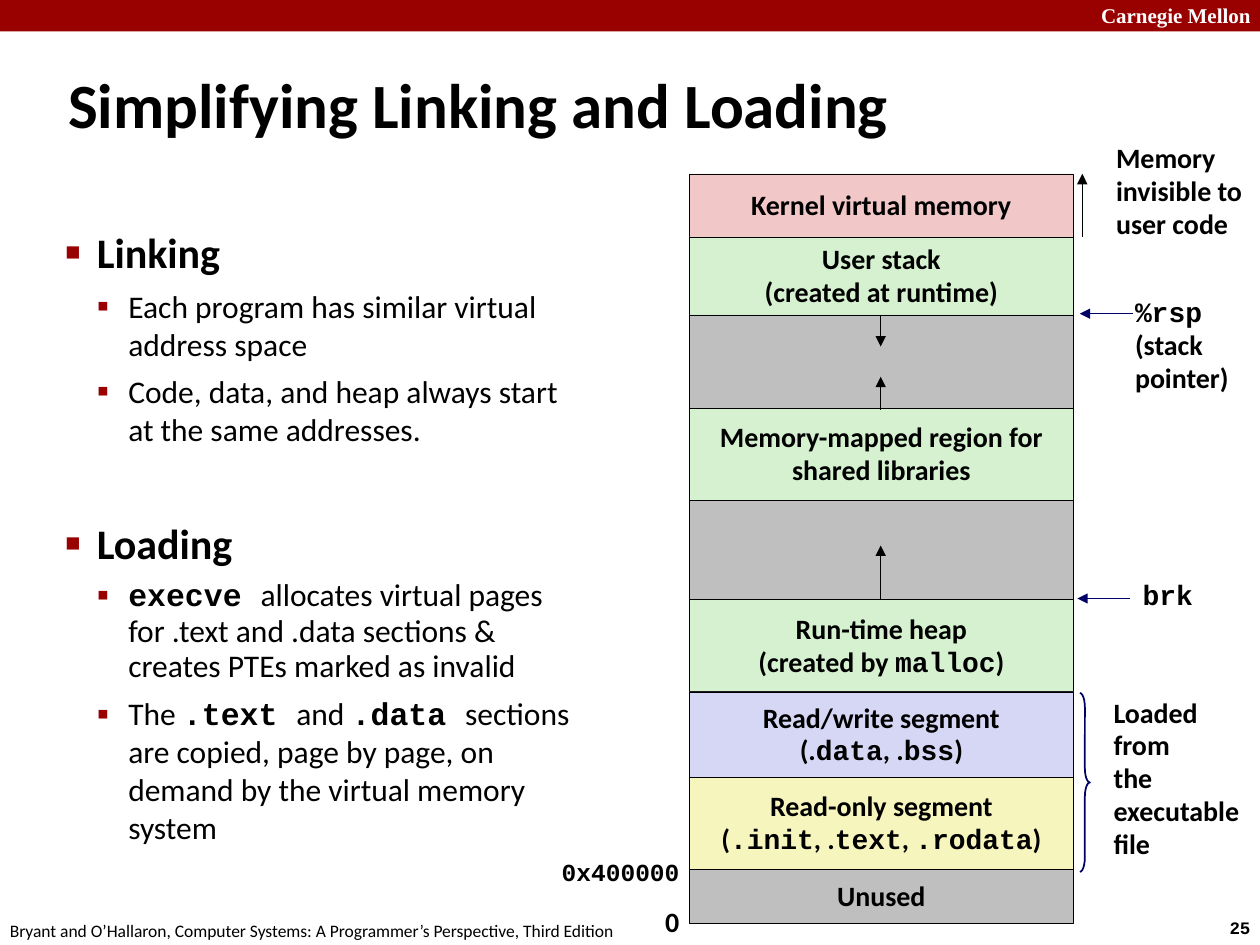
from lxml import etree
from pptx import Presentation
from pptx.dml.color import RGBColor
from pptx.enum.shapes import MSO_CONNECTOR, MSO_SHAPE
from pptx.enum.text import MSO_ANCHOR, PP_ALIGN
from pptx.oxml.ns import qn
from pptx.util import Inches, Pt

RECT, BRACE = MSO_SHAPE.RECTANGLE, MSO_SHAPE.RIGHT_BRACE
STRAIGHT = MSO_CONNECTOR.STRAIGHT
LEFT, CENTER = PP_ALIGN.LEFT, PP_ALIGN.CENTER
MIDDLE = MSO_ANCHOR.MIDDLE

BLACK = RGBColor(0x00, 0x00, 0x00)
WHITE = RGBColor(0xFF, 0xFF, 0xFF)
RED = RGBColor(0x99, 0x00, 0x00)
NAVY = RGBColor(0x00, 0x00, 0x66)
PINK = RGBColor(0xF1, 0xC7, 0xC7)
GREEN = RGBColor(0xD5, 0xF1, 0xCF)
GRAY = RGBColor(0xBF, 0xBF, 0xBF)
LILAC = RGBColor(0xD6, 0xD6, 0xF5)
YELLOW = RGBColor(0xF6, 0xF5, 0xBD)
SANS, MONO, SERIF = "Calibri", "Courier New", "Times New Roman"

# Backticks mark code, which is set in bold Courier New.
TITLE = "Simplifying Linking and Loading"
# (level, text, space before, line spacing)
BULLETS = [
    (0, "Linking", 0, 1),
    (1, "Each program has similar virtual address space", 5.6, 1),
    (1, "Code, data, and heap always start at the same addresses.", 5.6, 1),
    (0, "Loading", 40, 1),
    (1, "`execve `allocates virtual pages for .text and .data sections & "
        "creates PTEs marked as invalid", 5.6, 0.94),
    (1, "The `.text `and `.data `sections are copied, page by page, on demand "
        "by the virtual memory system", 5.6, 1),
]
# level: (bullet, bullet size in %, text size, bold)
LEVELS = [("■", 60, 24, True), ("▪", 110, 18, False)]

# Memory regions from high to low addresses: (top, fill, lines)
REGIONS = [
    (1.38, PINK, ["Kernel virtual memory"]),
    (1.88, GREEN, ["User stack", "(created at runtime)"]),
    (2.5, GRAY, []),
    (3.24, GREEN, ["Memory-mapped region for", "shared libraries"]),
    (3.97, GRAY, []),
    (4.76, GREEN, ["Run-time heap", "(created by `malloc`)"]),
    (5.49, LILAC, ["Read/write segment", "(.`data`, .`bss`)"]),
    (6.17, YELLOW, ["Read-only segment", "(`.init`, .`text`, `.rodata`)"]),
    (6.9, GRAY, ["Unused"]),
]
MAP_LEFT, MAP_WIDTH, MAP_BOTTOM = 5.47, 3.05, 7.33
MAP_MID = 6.99

# (box, lines, size)
LABELS = [
    ((8.76, 1.08, 1.26, 0.89), ["Memory", "invisible to", "user code"], 16),
    ((8.91, 2.31, 0.95, 0.88), ["`%rsp`", "(stack", "pointer)"], 16),
    ((8.97, 4.56, 0.6, 0.36), ["`brk`"], 16),
    ((8.74, 5.48, 1.26, 1.42),
     ["Loaded", "from", "the", "executable", "file"], 16),
    ((4.36, 6.77, 1.14, 0.33), ["`0x400000`"], 14),
    ((5.18, 7.14, 0.31, 0.37), ["0"], 16),
]
# (from, to, colour)
ARROWS = [
    ((MAP_MID, 2.5), (MAP_MID, 2.75), BLACK),
    ((MAP_MID, 3.25), (MAP_MID, 2.99), BLACK),
    ((MAP_MID, 4.75), (MAP_MID, 4.33), BLACK),
    ((8.59, 1.88), (8.59, 1.38), BLACK),
    ((8.99, 2.49), (8.57, 2.49), NAVY),
    ((8.97, 4.75), (8.55, 4.75), NAVY),
]
# (box, text, size, font, colour, bold)
FURNITURE = [
    ((8.64, -0.03, 1.43, 0.3), "Carnegie Mellon", 12, SERIF, WHITE, True),
    ((9.66, 7.23, 0.45, 0.27), "25", 10, MONO, BLACK, True),
    ((-0.02, 7.25, 5.08, 0.27), "Bryant and O’Hallaron, Computer Systems: "
     "A Programmer’s Perspective, Third Edition", 10, SANS, BLACK, False),
]


def inches(box):
    return [Inches(v) for v in box]


def add_runs(p, text, size, font=SANS, color=BLACK, bold=True):
    for i, part in enumerate(text.split("`")):
        if not part:
            continue
        code = i % 2 == 1
        r = p.add_run()
        r.text = part
        r.font.name = MONO if code else font
        r.font.size = Pt(size)
        r.font.bold = bold or code
        r.font.color.rgb = color


def add_lines(tf, lines, size, align=LEFT):
    for i, line in enumerate(lines):
        p = tf.paragraphs[0] if i == 0 else tf.add_paragraph()
        p.alignment = align
        p.line_spacing = 0.94 if line.startswith("`") else 0.98
        add_runs(p, line, size)


def add_text_box(s, box, wrap=False):
    tf = s.shapes.add_textbox(*inches(box)).text_frame
    tf.word_wrap = wrap
    return tf


def add_shape(s, kind, box, fill=None, line=None, width=0.25):
    sp = s.shapes.add_shape(kind, *inches(box))
    sp.shadow.inherit = False
    if fill is None:
        sp.fill.background()
    else:
        sp.fill.solid()
        sp.fill.fore_color.rgb = fill
    if line is None:
        sp.line.fill.background()
    else:
        sp.line.color.rgb = line
        sp.line.width = Pt(width)
    return sp


def add_arrow(s, start, end, color):
    c = s.shapes.add_connector(STRAIGHT, *inches(start + end))
    c.line.color.rgb = color
    c.line.width = Pt(0.25)
    etree.SubElement(c.line._get_or_add_ln(), qn("a:tailEnd"), type="triangle")
    etree.SubElement(c._element.spPr, qn("a:effectLst"))


def set_bullet(p, level, char, percent):
    pPr = p._p.get_or_add_pPr()
    pPr.set("marL", str(Inches(0.25 * (level + 1))))
    pPr.set("indent", str(-Inches(0.25)))
    color = etree.SubElement(pPr, qn("a:buClr"))
    etree.SubElement(color, qn("a:srgbClr"), val=str(RED))
    etree.SubElement(pPr, qn("a:buSzPct"), val=str(percent * 1000))
    etree.SubElement(pPr, qn("a:buFont"), typeface=SERIF)
    etree.SubElement(pPr, qn("a:buChar"), char=char)


def add_bullets(tf):
    for i, (level, text, before, spacing) in enumerate(BULLETS):
        char, percent, size, bold = LEVELS[level]
        p = tf.paragraphs[0] if i == 0 else tf.add_paragraph()
        p.level = level
        p.line_spacing = spacing
        p.space_before = Pt(before)
        set_bullet(p, level, char, percent)
        add_runs(p, text, size, bold=bold)


def main():
    prs = Presentation()
    prs.slide_width, prs.slide_height = Inches(10), Inches(7.5)
    s = prs.slides.add_slide(prs.slide_layouts[5])

    add_shape(s, RECT, (0, 0, 10, 0.25), RED)
    for box, text, *style in FURNITURE:
        add_runs(add_text_box(s, box).paragraphs[0], text, *style)

    title = s.shapes.title
    title.left, title.top, title.width, title.height = inches(
        (0.44, 0.39, 9.06, 0.86))
    title.text_frame.vertical_anchor = MIDDLE
    p = title.text_frame.paragraphs[0]
    p.alignment = LEFT
    add_runs(p, TITLE, 36)

    add_bullets(add_text_box(s, (0.42, 1.75, 4.33, 5.23), wrap=True))

    bottoms = [top for top, *_ in REGIONS[1:]] + [MAP_BOTTOM]
    for (top, fill, lines), bottom in zip(REGIONS, bottoms):
        box = (MAP_LEFT, top, MAP_WIDTH, bottom - top)
        tf = add_shape(s, RECT, box, fill, BLACK).text_frame
        tf.word_wrap = False
        tf.vertical_anchor = MIDDLE
        add_lines(tf, lines, 16, CENTER)

    for arrow in ARROWS:
        add_arrow(s, *arrow)
    brace = add_shape(s, BRACE, (8.57, 5.5, 0.08, 1.42), line=NAVY, width=1)
    brace.adjustments[0] = 1.42
    for box, lines, size in LABELS:
        add_lines(add_text_box(s, box), lines, size)

    prs.save("out.pptx")


if __name__ == "__main__":
    main()
